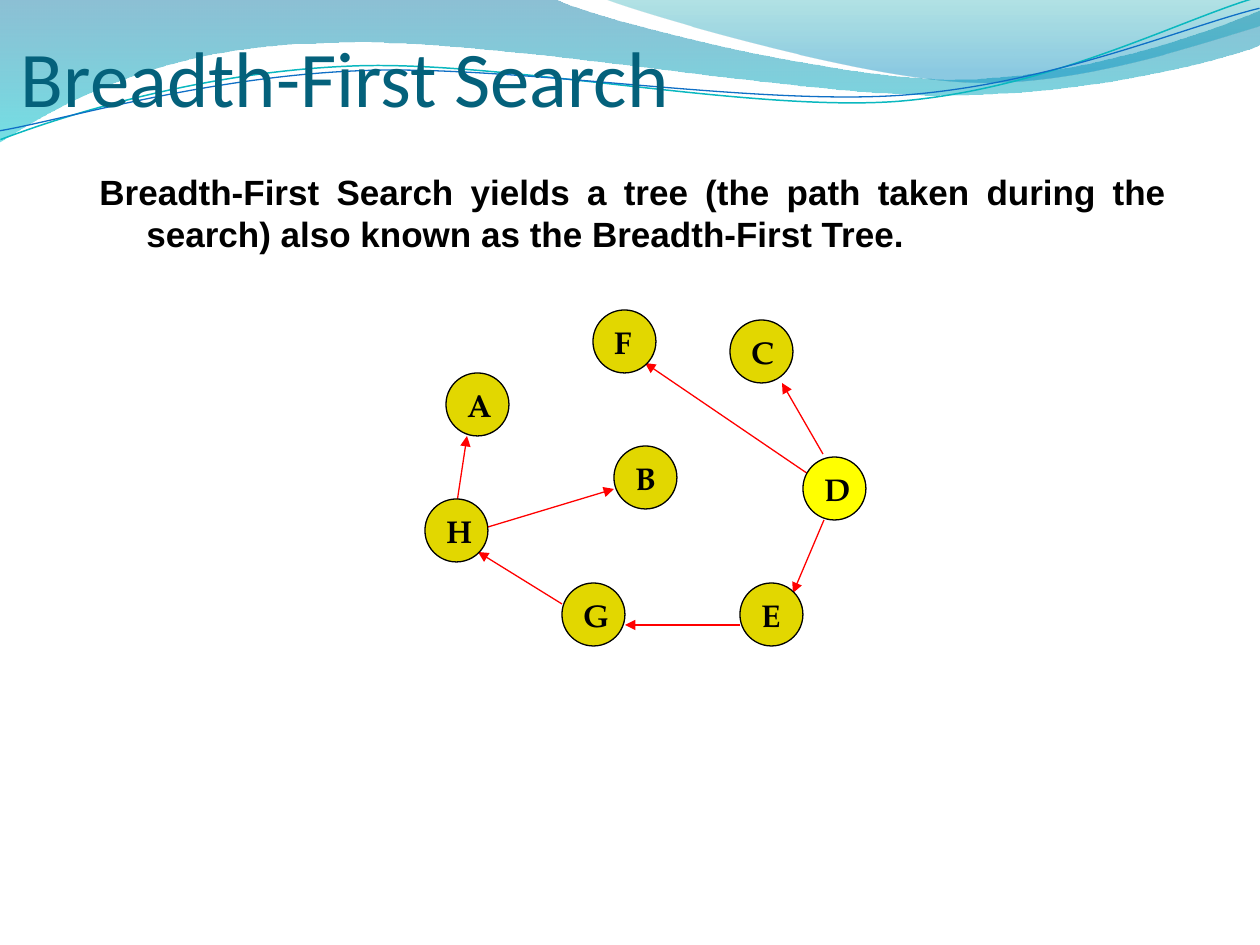
from lxml.etree import SubElement
from pptx import Presentation
from pptx.dml.color import RGBColor
from pptx.enum.shapes import MSO_CONNECTOR as Link, MSO_SHAPE as Shape
from pptx.enum.text import MSO_ANCHOR as Anchor, PP_ALIGN as Align
from pptx.oxml.ns import qn
from pptx.util import Pt

PX = 914400 / 126
BLACK = RGBColor(0, 0, 0)
RED = RGBColor(0xFF, 0, 0)
GOLD = RGBColor(0xE2, 0xD7, 0x00)
YELLOW = RGBColor(0xFF, 0xFF, 0x00)
NAVY = RGBColor(0x04, 0x61, 0x7B)
BLUE = RGBColor(0x0F, 0x6F, 0xC6)
TEAL = RGBColor(0x0A, 0xB8, 0xBF)
DEEP = RGBColor(0x00, 0x74, 0xA1)
AQUA = RGBColor(0x00, 0xC6, 0xCF)
SEA = RGBColor(0x00, 0xA1, 0xA9)
SKY = RGBColor(0x00, 0x8B, 0xBF)


def emu(*vals):
    return [round(v * PX) for v in vals]


def trace(start, steps, close):
    dots = [step[k:k + 2] for step in steps for k in range(0, len(step), 2)]
    path = shapes.build_freeform(*start, scale=PX)
    path.add_line_segments(dots, close=close)
    wave = path.convert_to_shape()
    wave.shadow.inherit = False
    lines = iter(list(wave._element.iter(qn("a:lnTo"))))
    for step in steps:
        first = next(lines)
        if len(step) == 6:
            first.tag_name = None
            bend = first.getparent().makeelement(qn("a:cubicBezTo"))
            first.addprevious(bend)
            for line in (first, next(lines), next(lines)):
                bend.append(line[0])
                line.getparent().remove(line)
    return wave


deck = Presentation()
deck.slide_width, deck.slide_height = emu(1260, 945)
slide = deck.slides.add_slide(deck.slide_layouts[5])
shapes = slide.shapes

bands = [
    ((0, 0), [(554, -1), (600, 21, 837, 79, 955, 79), (1075, 79, 1207, 33, 1260, 11),
              (1261, 45), (1239, 55, 1096, 96, 940, 95), (784, 95, 481, 35, 324, 43),
              (163, 45, 58, 105, -1, 142), (0, 0)],
     [(0, DEEP, 45), (1, AQUA, 55)]),
    ((604, -1), [(641, 14, 859, 78, 969, 82), (1079, 87, 1211, 40, 1260, 26),
                 (1260, 0), (604, -1)],
     [(0, SEA, 30), (0.8, SKY, 45)]),
]
for start, steps, stops in bands:
    band = trace(start, steps, True)
    band.line.fill.background()
    band.fill.gradient()
    band.fill.gradient_angle = 270
    for stop, (place, color, alpha) in zip(band.fill.gradient_stops, stops):
        stop.position = place
        stop.color.rgb = color
    for node, (place, color, alpha) in zip(band._element.spPr.iter(qn("a:srgbClr")), stops):
        SubElement(node, qn("a:alpha"), val=str(alpha * 1000))

curves = [
    ((-2, 110), [(59, 90, 199, 52, 350, 53), (499, 53, 745, 118, 896, 114),
                 (1048, 109, 1184, 45, 1260, 27)], TEAL, 0.85),
    ((-2, 101), [(57, 94, 207, 57, 357, 58), (509, 58, 750, 112, 902, 108),
                 (1052, 104, 1189, 52, 1262, 38)], BLUE, 0.75),
]
for start, steps, color, width in curves:
    curve = trace(start, steps, False)
    curve.rotation = 357.3
    curve.fill.background()
    curve.line.color.rgb = color
    curve.line.width = Pt(width)

body = shapes.add_textbox(*emu(87, 164, 1092, 97))
title = shapes.title
shapes._spTree.append(title._element)
title.left, title.top, title.width, title.height = emu(21, 23, 1212, 93)

texts = [
    (title, "Breadth-First Search", Align.LEFT,
     {"name": "Calibri", "size": Pt(45), "bold": False}, NAVY),
    (body, "Breadth-First Search yields a tree (the path taken during the search) "
           "also known as the Breadth-First Tree.", Align.JUSTIFY,
     {"name": "Arial", "size": Pt(20), "bold": True}, BLACK),
]
for box, words, align, style, color in texts:
    frame = box.text_frame
    frame.text = words
    frame.word_wrap = True
    frame.vertical_anchor = Anchor.TOP
    para = frame.paragraphs[0]
    para.alignment = align
    for key, val in style.items():
        setattr(para.font, key, val)
    para.font.color.rgb = color

pads = {"margin_left": 0, "margin_top": 6, "margin_right": 0, "margin_bottom": 0}
for key, val in pads.items():
    setattr(title.text_frame, key, emu(val)[0])
props = body.text_frame.paragraphs[0]._p.get_or_add_pPr()
indent = emu(47)[0]
props.set("marL", str(indent))
props.set("indent", str(-indent))

arrows = [
    (814, 478, 645, 363), (824, 520, 793, 593), (478, 530, 614, 489), (456, 509, 467, 436),
    (823, 454, 782, 383), (740, 625, 625, 625), (562, 604, 478, 552),
]
for ends in arrows:
    arrow = shapes.add_connector(Link.STRAIGHT, *emu(*ends))
    arrow.line.color.rgb = RED
    arrow.line.width = Pt(0.75)
    SubElement(arrow.line._get_or_add_ln(), qn("a:tailEnd"), type="triangle")
    SubElement(arrow._element.spPr, qn("a:effectLst"))

nodes = {
    "A": (446, 373), "H": (425, 499), "B": (614, 446), "F": (593, 310),
    "E": (740, 583), "D": (803, 457), "C": (730, 320), "G": (562, 583),
}
style = {"name": "TeX Gyre Pagella", "size": Pt(18), "bold": True}
for name, (left, top) in nodes.items():
    node = shapes.add_shape(Shape.OVAL, *emu(left, top, 63, 63))
    node.shadow.inherit = False
    node.fill.solid()
    node.fill.fore_color.rgb = YELLOW if name == "D" else GOLD
    node.line.color.rgb = BLACK
    node.line.width = Pt(0.75)
    frame = node.text_frame
    frame.text = name
    frame.word_wrap = False
    frame.vertical_anchor = Anchor.MIDDLE
    para = frame.paragraphs[0]
    para.alignment = Align.LEFT
    for key, val in style.items():
        setattr(para.font, key, val)
    para.font.color.rgb = BLACK

deck.save("out.pptx")
